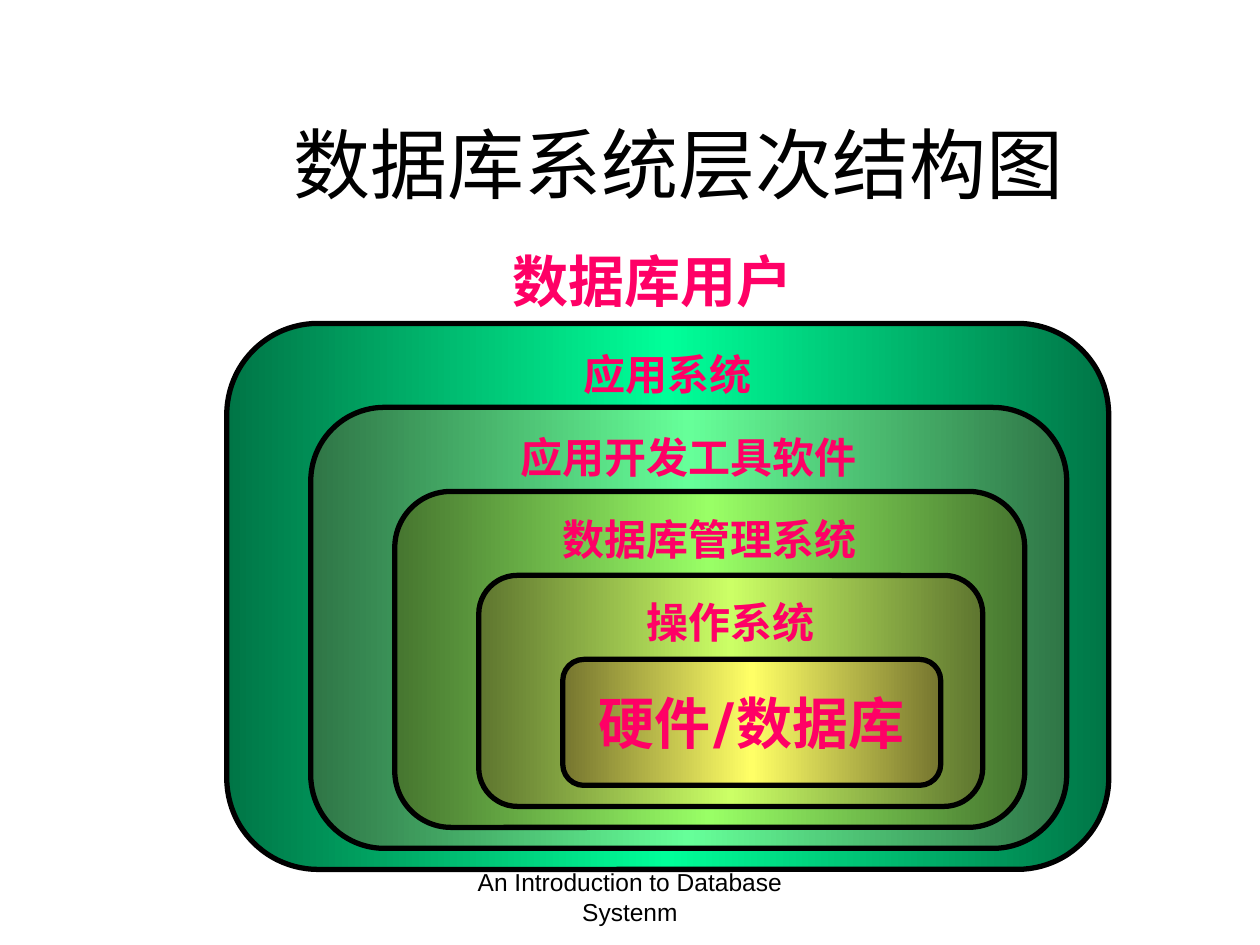
from copy import deepcopy

from pptx import Presentation
from pptx.dml.color import RGBColor
from pptx.enum.shapes import MSO_SHAPE as Shape
from pptx.enum.text import MSO_ANCHOR as Anchor, PP_ALIGN as Align
from pptx.util import Inches, Pt

COLUMNS, ROWS = 30, 22.5  # grid of the 10 x 7.5 inch slide


def color(hex_string):
    return RGBColor.from_string(hex_string)


class LayerSlide:
    ink, accent = "000000", "FF0066"
    plain_font, label_font = "Arial", "Karla"

    def __init__(self, deck):
        self.deck = deck
        self.slide = deck.slides.add_slide(deck.slide_layouts[6])

    def cells(self, left, top, width, height):
        """Turn grid columns and rows into slide lengths."""
        column = self.deck.slide_width / COLUMNS
        row = self.deck.slide_height / ROWS
        return [round(n * unit) for n, unit in
                zip((left, top, width, height), (column, row) * 2)]

    def add_words(self, frame, words, size, font, hue, bold=False, align=Align.CENTER):
        line = frame.paragraphs[0]
        line.alignment = align
        run = line.add_run()
        run.text = words
        run.font.name, run.font.size, run.font.bold = font, Pt(size), bold
        run.font.color.rgb = color(hue)
        return line

    def text(self, words, place, size, anchor=Anchor.TOP, **style):
        frame = self.slide.shapes.add_textbox(*self.cells(*place)).text_frame
        frame.word_wrap = True
        frame.vertical_anchor = anchor
        look = {"font": self.plain_font, "hue": self.ink, **style}
        self.add_words(frame, words, size, **look)

    def layer(self, words, place, edge, middle, size, top_inset=None):
        box = self.slide.shapes.add_shape(Shape.ROUNDED_RECTANGLE, *self.cells(*place))
        box.shadow.inherit = False
        box.adjustments[0] = 0.167
        box.line.color.rgb = color(self.ink)
        box.line.width = Pt(3)
        self.shade(box.fill, edge, middle)

        frame = box.text_frame
        frame.word_wrap = False
        line = self.add_words(frame, words, size, self.label_font, self.accent, bold=True)
        if top_inset is None:
            frame.vertical_anchor = Anchor.MIDDLE
        else:
            frame.vertical_anchor = Anchor.TOP
            frame.margin_top = Inches(top_inset)
            line.line_spacing = Pt(28)

    def shade(self, fill, edge, middle):
        """Horizontal gradient: edge, middle, edge."""
        fill.gradient()
        fill.gradient_angle = 0
        stops = fill._fill._gradFill.gsLst
        stops.append(deepcopy(stops[0]))
        for stop, position, hue in zip(fill.gradient_stops, (0, 0.5, 1),
                                       (edge, middle, edge)):
            stop.position = position
            stop.color.rgb = color(hue)


def main():
    deck = Presentation()
    deck.slide_width, deck.slide_height = Inches(10), Inches(7.5)
    page = LayerSlide(deck)

    # Title
    page.text("数据库系统层次结构图", (3.75, 2, 24.85, 3.75), 44, Anchor.MIDDLE)

    # Nested layers, from the outermost to the core
    layers = [
        ("应用系统", "007546", "00FF99"),
        ("应用开发工具软件", "2F7546", "66FF99"),
        ("数据库管理系统", "46752F", "99FF66"),
        ("操作系统", "5E752F", "CCFF66"),
        ("硬件/数据库", "75752F", "FFFF66"),
    ]
    for depth, (name, edge, middle) in enumerate(layers):
        place = (5.4 + 2 * depth, 7.7 + 2 * depth, 21 - 3 * depth, 13 - 2.5 * depth)
        is_core = depth == len(layers) - 1
        page.layer(name, place, edge, middle, 32 if is_core else 24,
                   None if is_core else 0.03 * depth)

    # Users above the layers
    page.text("数据库用户", (11.9, 5.73, 7.5, 1.92), 32, font=page.label_font,
              hue=page.accent, bold=True, align=Align.LEFT)

    # Footer
    page.text("An Introduction to Database Systenm", (10.25, 20.5, 9.5, 1.56), 14)

    deck.save("out.pptx")


if __name__ == "__main__":
    main()
